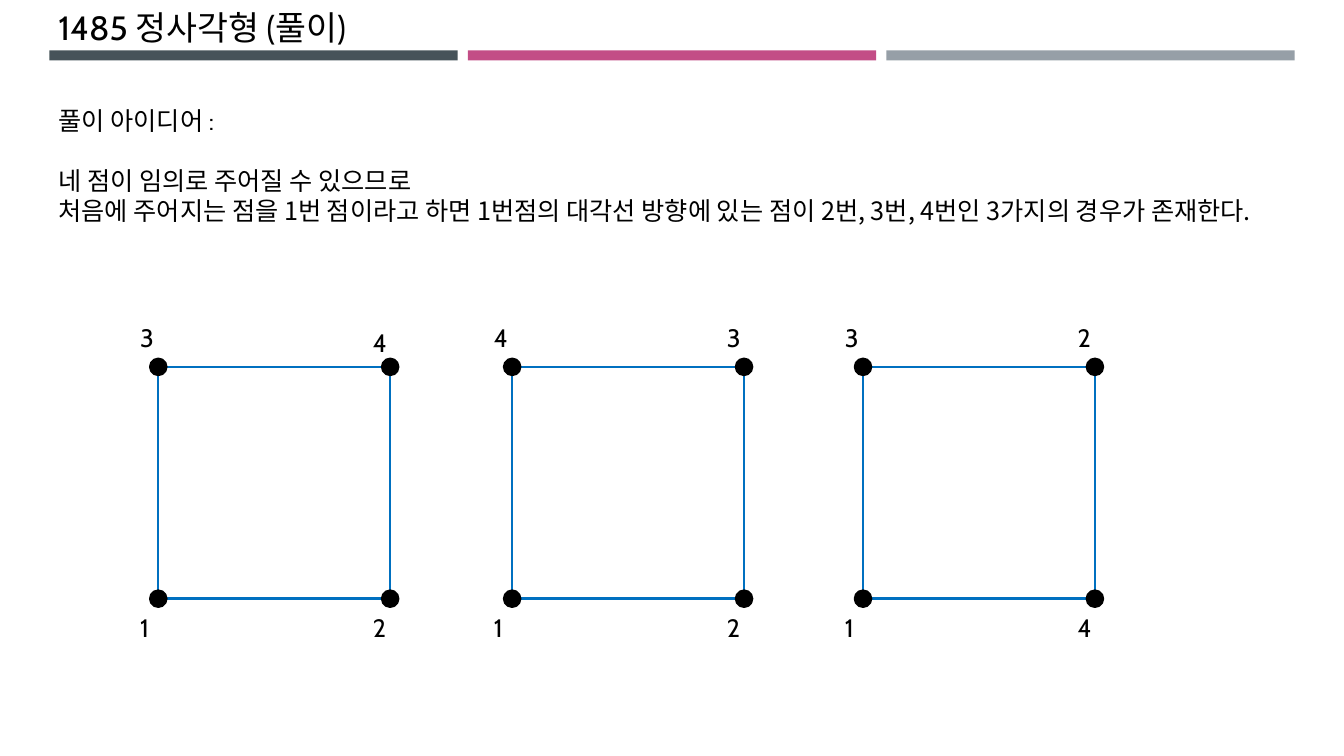
from dataclasses import dataclass
from pptx import Presentation
from pptx.dml.color import RGBColor
from pptx.enum.shapes import MSO_SHAPE
from pptx.enum.text import MSO_ANCHOR, MSO_AUTO_SIZE, PP_ALIGN
from pptx.oxml.ns import qn
from pptx.util import Inches, Pt

TITLE = "1485 정사각형 (풀이)"
IDEA = [
    ("풀이 아이디어 :", "Cabin", 0),
    ("네 점이 임의로 주어질 수 있으므로", "Noto Sans CJK KR", 21.6),
    ("처음에 주어지는 점을 1번 점이라고 하면 1번점의 대각선 방향에 있는 점이 "
     "2번, 3번, 4번인 3가지의 경우가 존재한다.", "Noto Sans CJK KR", 0),
]
CORNERS = [(0, 0), (1, 0), (0, 1), (1, 1)]
CASES = [
    (1.57, "3412", (0, 0.05, 0, 0)),
    (5.08, "4312", (0, 0, 0, 0)),
    (8.56, "3214", (0, 0, 0, 0)),
]


@dataclass(frozen=True)
class Theme:
    bars: tuple = ("465359", "C34D86", "969FA7")
    ink: str = "000000"
    edge: str = "0070C0"
    latin: str = "Cabin"
    korean: str = "Noto Sans CJK KR"
    title_size: int = 24
    text_size: int = 18
    line_width: float = 1.75


theme = Theme()
SIDE, SQUARE_TOP, DOT = 2.3, 3.64, 0.16
LABEL_WIDTH, LABEL_HEIGHT = 0.35, 0.4
LABEL_SHIFT, LABEL_STEP = -0.28, 2.31
LABEL_TOPS = (3.15, 6.03)


def place(shape, left, top, width, height):
    shape.left, shape.top = Inches(left), Inches(top)
    shape.width, shape.height = Inches(width), Inches(height)


def style_paragraph(para, size, latin=theme.latin, leading=None):
    para.alignment = PP_ALIGN.LEFT
    para.space_before = para.space_after = Pt(0)
    para.line_spacing = Pt(leading) if leading else 1.0
    for span in para.runs:
        span.font.size = Pt(size)
        span.font.name = latin
        span.font.color.rgb = RGBColor.from_string(theme.ink)
        east_asian = span.font._element.makeelement(qn("a:ea"), {"typeface": theme.korean})
        span.font._element.find(qn("a:latin")).addnext(east_asian)


def add_figure(page, kind, left, top, width, height, fill=None, line=None):
    shape = page.shapes.add_shape(kind, Inches(left), Inches(top), Inches(width), Inches(height))
    shape.shadow.inherit = False
    if fill:
        shape.fill.solid()
        shape.fill.fore_color.rgb = RGBColor.from_string(fill)
    else:
        shape.fill.background()
    if line:
        shape.line.color.rgb = RGBColor.from_string(line)
        shape.line.width = Pt(theme.line_width)
    else:
        shape.line.fill.background()


def add_label(page, text, left, top):
    box = page.shapes.add_textbox(Inches(left), Inches(top), Inches(LABEL_WIDTH), Inches(LABEL_HEIGHT))
    box.text_frame.word_wrap = True
    box.text_frame.text = text
    style_paragraph(box.text_frame.paragraphs[0], theme.text_size)


def add_case(page, left, labels, nudges):
    add_figure(page, MSO_SHAPE.RECTANGLE, left, SQUARE_TOP, SIDE, SIDE, line=theme.edge)
    for (column, row), label, nudge in zip(CORNERS, labels, nudges):
        add_figure(page, MSO_SHAPE.OVAL, left + column * SIDE - DOT / 2,
                   SQUARE_TOP + row * SIDE - DOT / 2, DOT, DOT, theme.ink, theme.ink)
        add_label(page, label, left + LABEL_SHIFT + column * LABEL_STEP, LABEL_TOPS[row] + nudge)


def fill_title(title):
    place(title, 0.48, 0.02, 12.37, 0.5)
    title.text_frame.text = TITLE
    title.text_frame.auto_size = MSO_AUTO_SIZE.NONE
    title.text_frame.vertical_anchor = MSO_ANCHOR.MIDDLE
    style_paragraph(title.text_frame.paragraphs[0], theme.title_size, leading=29)


def fill_idea(body):
    place(body, 0.48, 0.99, 12.33, 1.62)
    frame = body.text_frame
    frame.auto_size = MSO_AUTO_SIZE.NONE
    frame.vertical_anchor = MSO_ANCHOR.TOP
    frame.text = "\n".join(text for text, latin, gap in IDEA)
    for para, (text, latin, gap) in zip(frame.paragraphs, IDEA):
        style_paragraph(para, theme.text_size, latin, leading=21.6)
        para.space_before = Pt(gap)
        properties = para._p.get_or_add_pPr()
        properties.set("marL", "0")
        properties.set("indent", "0")
        properties.append(properties.makeelement(qn("a:buNone"), {}))


def main():
    deck = Presentation()
    deck.slide_width, deck.slide_height = Inches(13.33), Inches(7.5)
    page = deck.slides.add_slide(deck.slide_layouts[1])
    fill_title(page.shapes.title)
    fill_idea(page.placeholders[1])
    for index, colour in enumerate(theme.bars):
        add_figure(page, MSO_SHAPE.RECTANGLE, 0.49 + index * 4.15, 0.5, 4.05, 0.1, fill=colour)
    for left, labels, nudges in CASES:
        add_case(page, left, labels, nudges)
    deck.save("out.pptx")


if __name__ == "__main__":
    main()
